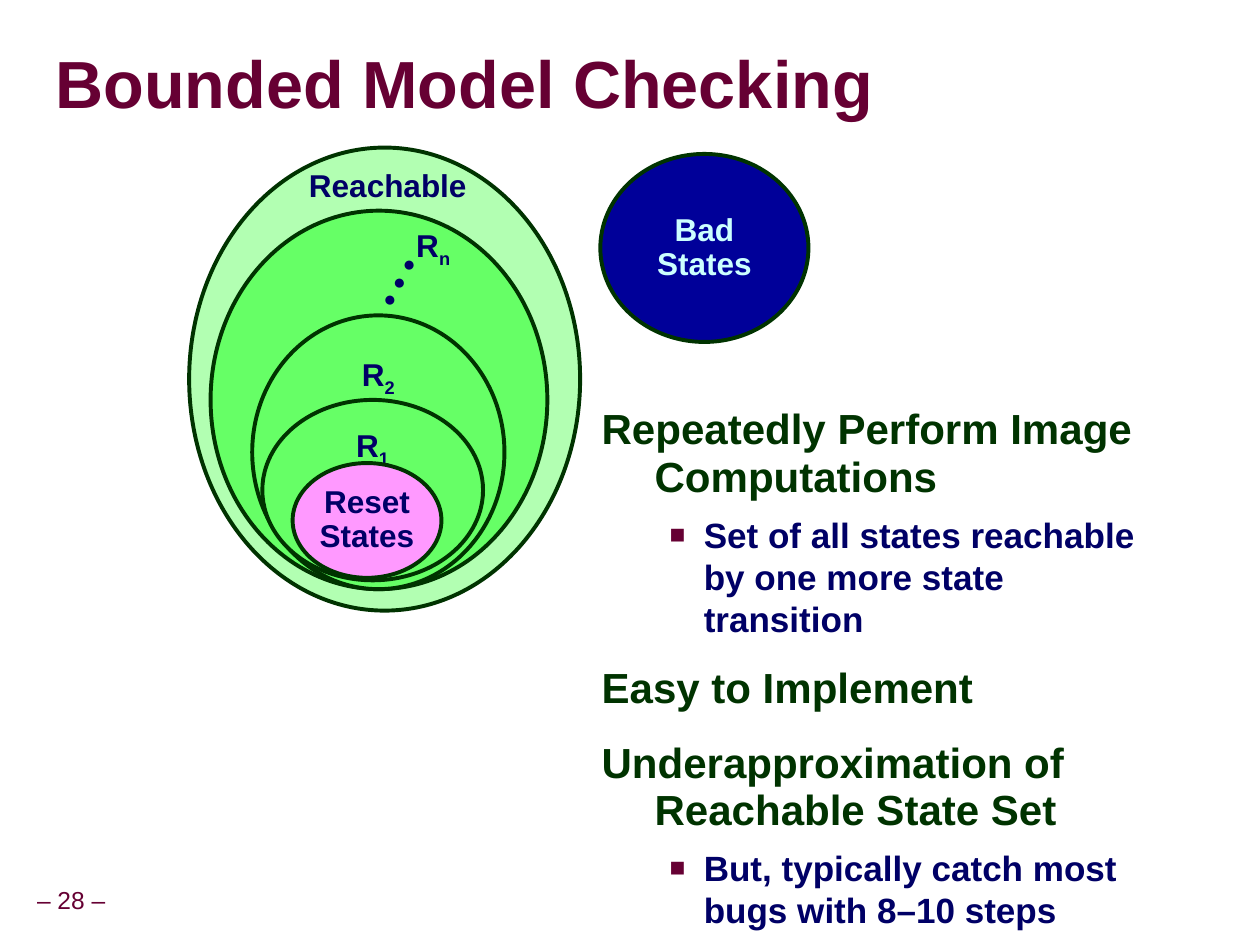
from dataclasses import dataclass

from lxml import etree
from pptx import Presentation
from pptx.dml.color import RGBColor
from pptx.enum.shapes import MSO_SHAPE
from pptx.enum.text import MSO_ANCHOR, MSO_AUTO_SIZE, PP_ALIGN
from pptx.oxml.ns import qn
from pptx.util import Emu, Pt

OVAL = MSO_SHAPE.OVAL
TOP, MIDDLE = MSO_ANCHOR.TOP, MSO_ANCHOR.MIDDLE
LEFT, CENTER = PP_ALIGN.LEFT, PP_ALIGN.CENTER
FIXED = MSO_AUTO_SIZE.NONE

PX = 9144  # 100 px to the inch
FONT = "Arial"
INK = {
    "wine": "660033", "navy": "000066", "forest": "003300",
    "green": "66FF66", "pink": "FF99FF", "blue": "000099",
    "ice": "CCFFFF", "shade": "969696",
}


@dataclass
class Oval:
    box: tuple[int, int, int, int]
    fill: str
    text: str = ""
    ink: str = "navy"
    anchor: MSO_ANCHOR = MIDDLE
    pad: int = 5
    alpha: int = 100


@dataclass
class Label:
    box: tuple[int, int, int, int]
    text: str
    size: int = 18
    ink: str = "navy"
    bold: bool = True
    turn: int = 0
    anchor: MSO_ANCHOR = TOP


@dataclass
class Item:
    text: str
    level: int = 0


OVALS = [
    Oval((150, 117, 310, 367), "green", alpha=50),
    Oval((167, 167, 267, 300), "green"),
    Oval((200, 250, 200, 217), "green", "R_2", anchor=TOP, pad=0),
    Oval((208, 317, 175, 143), "green", "R_1", anchor=TOP, pad=0),
    Oval((232, 367, 118, 91), "pink", "Reset\nStates"),
    Oval((476, 122, 165, 149), "blue", "Bad\nStates", "ice"),
]
LABELS = [
    Label((240, 130, 135, 37), "Reachable"),
    Label((292, 206, 50, 37), "• • •", turn=299),
    Label((325, 175, 37, 41), "R_n"),
    Label((-9, 699, 131, 31), "– 28 –", 14, "wine", False, anchor=MIDDLE),
]
ITEMS = [
    Item("Repeatedly Perform Image Computations"),
    Item("Set of all states reachable by one more state transition", 1),
    Item("Easy to Implement"),
    Item("Underapproximation of Reachable State Set"),
    Item("But, typically catch most bugs with 8–10 steps", 1),
]


def rgb(name: str) -> RGBColor:
    return RGBColor.from_string(INK[name])


def add(parent, tag: str, **attrs: str):
    return etree.SubElement(parent, qn(tag), attrs)


def place(shape, box: tuple[int, int, int, int]) -> None:
    shape.left, shape.top, shape.width, shape.height = (Emu(n * PX) for n in box)


def setup(frame, anchor=TOP, side=5, edge=5, wrap=False) -> None:
    """Set the anchor, insets and wrapping of a text frame."""
    frame.auto_size = FIXED
    frame.word_wrap = wrap
    frame.vertical_anchor = anchor
    frame.margin_left = frame.margin_right = Emu(side * PX)
    frame.margin_top = frame.margin_bottom = Emu(edge * PX)


def write(para, text: str, *, size=18, ink="navy", bold=True,
          align=CENTER, space=0.9, before=0.0) -> None:
    """Fill a paragraph; the part after an underscore is a subscript."""
    para.alignment = align
    para.line_spacing = space
    para.space_before = Pt(before)
    for i, part in enumerate(text.split("_")):
        run = para.add_run()
        run.text = part
        font = run.font
        font.name, font.size, font.bold = FONT, Pt(size), bold
        font.color.rgb = rgb(ink)
        if i:
            run._r.get_or_add_rPr().set("baseline", "-25000")


def lines(frame, text: str, **style) -> None:
    for i, line in enumerate(text.split("\n")):
        para = frame.add_paragraph() if i else frame.paragraphs[0]
        write(para, line, **style)


def draw_oval(slide, oval: Oval) -> None:
    shape = slide.shapes.add_shape(OVAL, 0, 0, 0, 0)
    place(shape, oval.box)
    shape.shadow.inherit = False
    shape.fill.solid()
    shape.fill.fore_color.rgb = rgb(oval.fill)
    if oval.alpha < 100:
        color = shape._element.spPr.find(f"{qn('a:solidFill')}/{qn('a:srgbClr')}")
        add(color, "a:alpha", val=str(oval.alpha * 1000))
    shape.line.color.rgb = rgb("forest")
    shape.line.width = Pt(2.25)
    if oval.text:
        setup(shape.text_frame, oval.anchor, edge=oval.pad)
        lines(shape.text_frame, oval.text, ink=oval.ink)


def draw_label(slide, label: Label) -> None:
    shape = slide.shapes.add_textbox(0, 0, 0, 0)
    place(shape, label.box)
    shape.rotation = label.turn
    setup(shape.text_frame, label.anchor)
    lines(shape.text_frame, label.text, size=label.size, ink=label.ink,
          bold=label.bold)


def draw_title(shape) -> None:
    place(shape, (44, 27, 952, 85))
    setup(shape.text_frame, MIDDLE, 0, 0, True)
    para = shape.text_frame.paragraphs[0]
    write(para, "Bounded Model Checking", size=38, ink="wine", align=LEFT, space=0.87)
    fill = para.runs[0]._r.rPr.find(qn("a:solidFill"))
    effects = etree.Element(qn("a:effectLst"))
    fill.addnext(effects)
    shadow = add(effects, "a:outerShdw", dist="38100", dir="2700000")
    add(shadow, "a:srgbClr", val=INK["shade"])


def draw_list(shape) -> None:
    place(shape, (467, 317, 472, 425))
    frame = shape.text_frame
    setup(frame, TOP, 10, 5, True)
    for i, item in enumerate(ITEMS):
        para = frame.add_paragraph() if i else frame.paragraphs[0]
        sub = item.level > 0
        para.level = item.level
        write(para, item.text, size=20 if sub else 24,
              ink="navy" if sub else "forest", align=LEFT,
              space=1.0 if sub else 0.95, before=6.2 if sub else 15)
        props = para._p.get_or_add_pPr()
        margin, indent = (81, -27) if sub else (42, -42)
        props.set("marL", str(margin * PX))
        props.set("indent", str(indent * PX))
        if sub:
            add(add(props, "a:buClr"), "a:srgbClr", val=INK["wine"])
            add(props, "a:buSzPct", val="75000")
            add(props, "a:buFont", typeface=FONT)
            add(props, "a:buChar", char="■")
        else:
            add(props, "a:buNone")


def main() -> None:
    deck = Presentation()
    deck.slide_width, deck.slide_height = Emu(999 * PX), Emu(749 * PX)
    slide = deck.slides.add_slide(deck.slide_layouts[1])
    draw_title(slide.shapes.title)
    draw_list(slide.placeholders[1])
    for oval in OVALS:
        draw_oval(slide, oval)
    for label in LABELS:
        draw_label(slide, label)
    deck.save("out.pptx")


if __name__ == "__main__":
    main()
